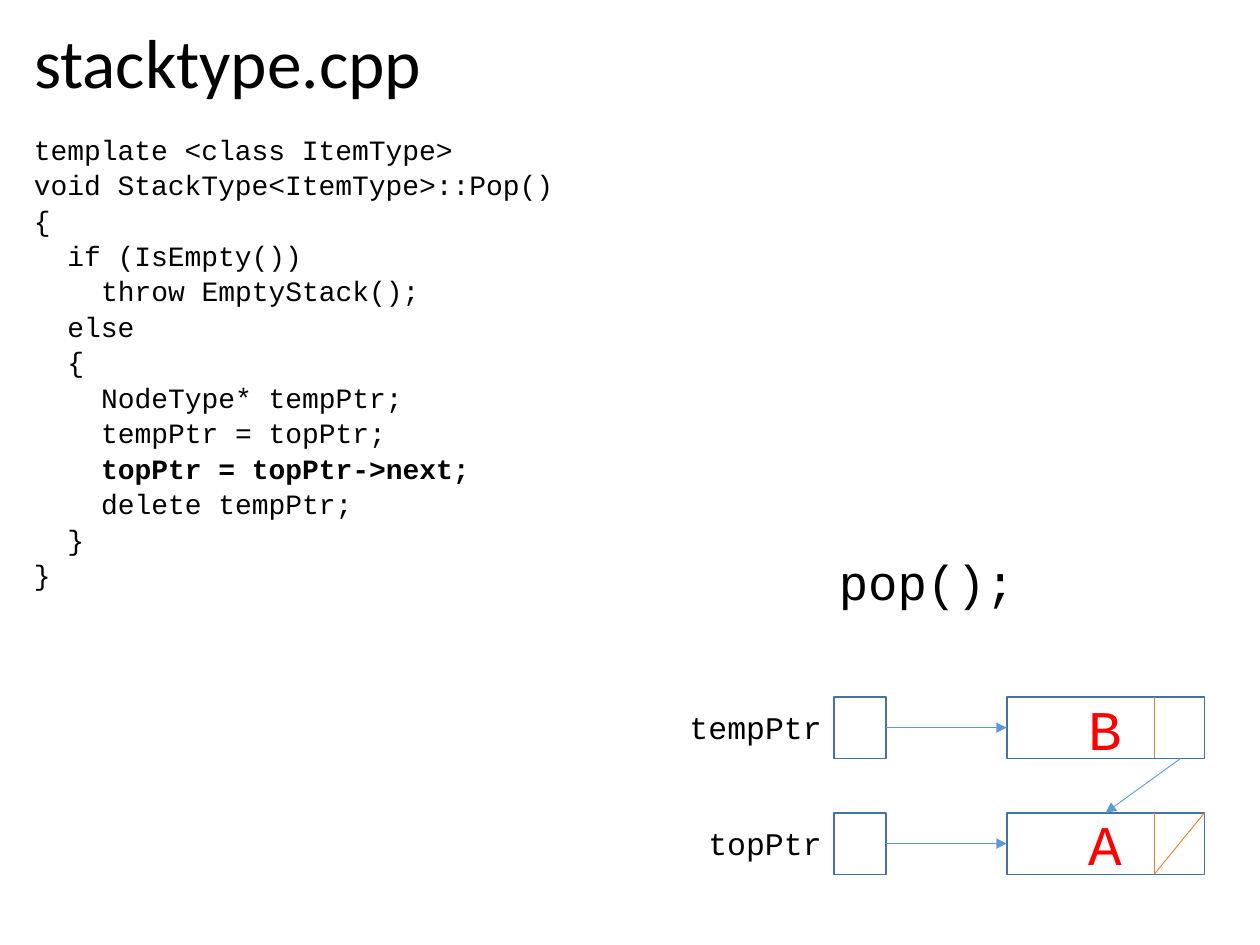
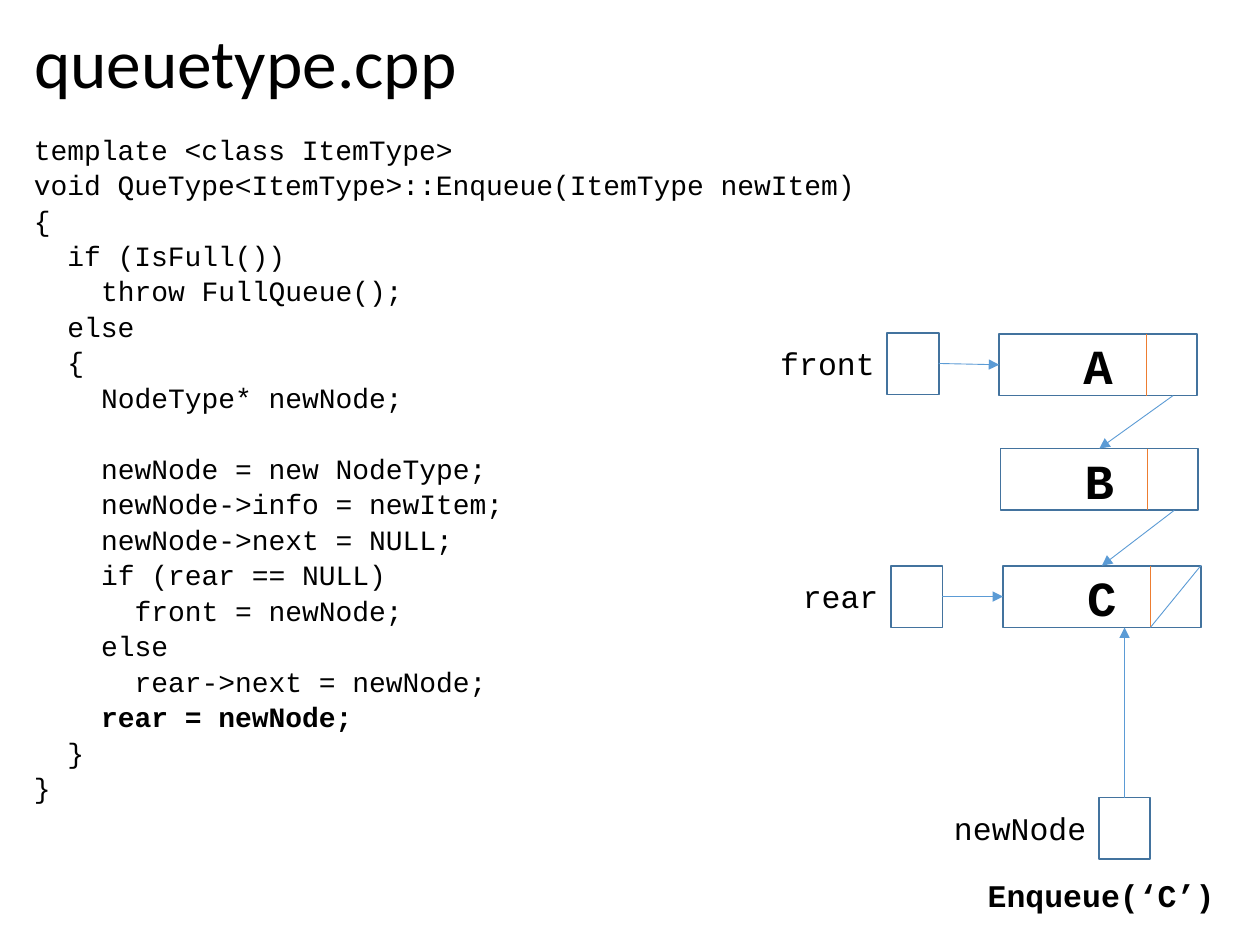
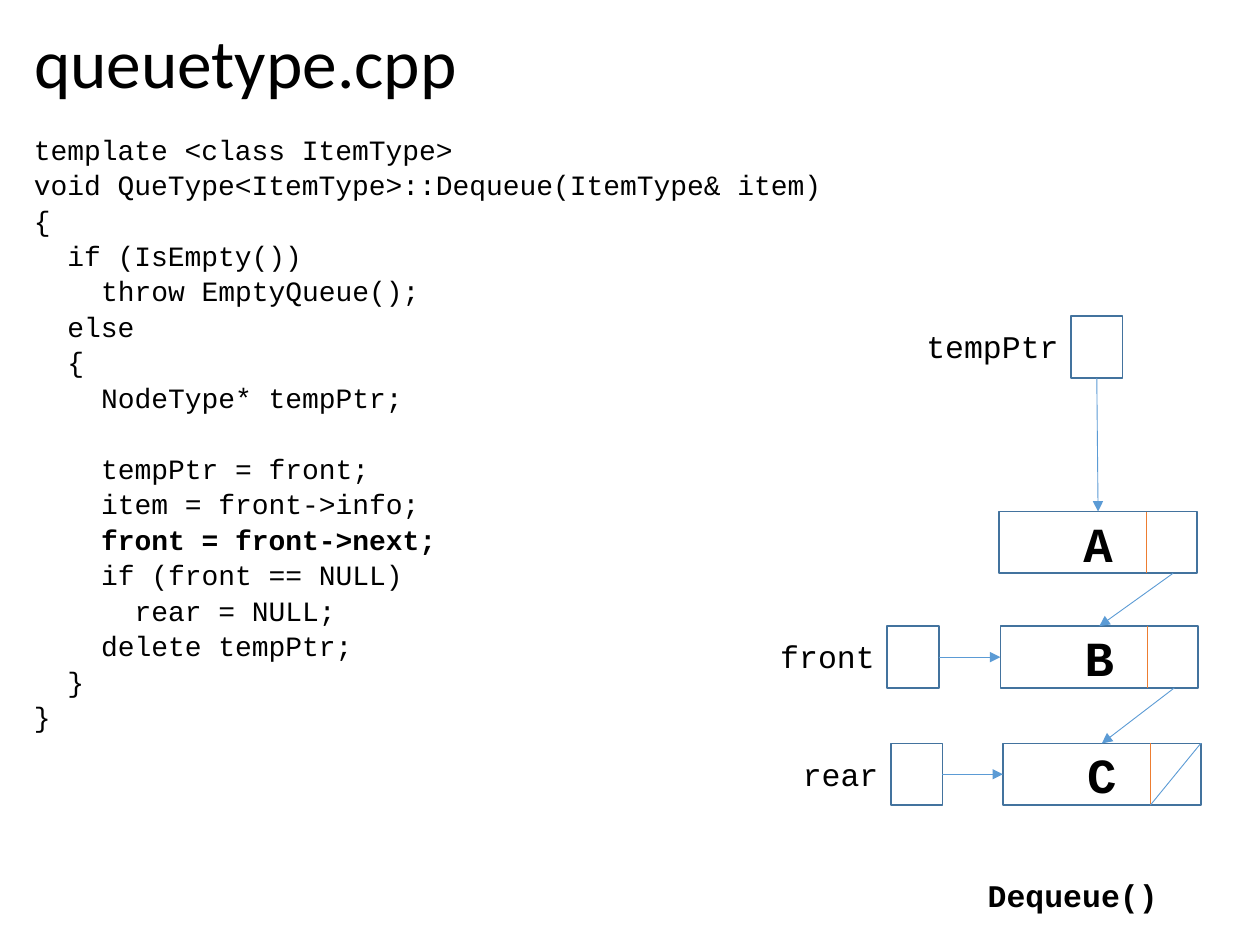
from collections import namedtuple
from itertools import pairwise

from lxml import etree
from pptx import Presentation
from pptx import util as u
from pptx.dml.color import RGBColor
from pptx.enum import shapes, text
from pptx.oxml.ns import qn

# Shared look
BLACK, RED, OUTLINE, BLUE, ORANGE = "000000", "FF0000", "43739E", "5B9BD5", "ED7D31"
MONO = "Courier New"
NODE_WIDTH, POINTER_WIDTH, BOX_HEIGHT = 1.57, 0.41, 0.49
DIVIDER, NEXT_FIELD = 1.17, 1.38      # offsets from a node's left side
CODE_SIZE, CODE_GAP, CODE_LINE = 16, 3, 20.3
CODE_CHARACTER = u.Pt(0.6 * CODE_SIZE)
TOP, LEFT, BOTTOM, RIGHT = range(4)   # connection sites of a rectangle

Node = namedtuple("Node", "letter left top")
Pointer = namedtuple("Pointer", "label left top label_width target start end")
Caption = namedtuple("Caption", "words place size bold")

queue_letter = {"size": 28, "color": BLACK, "bold": True}
queue_caption = (7.74, 6.9, 2.14, 0.4)

slides = [
    {
        "title": "stacktype.cpp",
        "bold": "topPtr = topPtr->next;",
        "caption": Caption("pop();", (6.56, 4.33, 2.59, 0.57), 28, False),
        "letter": {"size": 32, "color": RED, "bold": False},
        "null_slash": ORANGE,
        "nodes": [Node("B", 7.99, 5.53), Node("A", 7.99, 6.45)],
        "pointers": [
            Pointer("tempPtr", 6.62, 5.53, 1.52, "B", RIGHT, LEFT),
            Pointer("topPtr", 6.62, 6.45, 1.36, "A", RIGHT, LEFT),
        ],
        "code": """template <class ItemType>
void StackType<ItemType>::Pop()
{
  if (IsEmpty())
    throw EmptyStack();
  else
  {
    NodeType* tempPtr;
    tempPtr = topPtr;
    topPtr = topPtr->next;
    delete tempPtr;
  }
}""",
    },
    {
        "title": "queuetype.cpp",
        "bold": "rear = newNode;",
        "caption": Caption("Enqueue(‘C’)", queue_caption, 18, True),
        "letter": queue_letter,
        "null_slash": BLUE,
        "nodes": [Node("A", 7.93, 2.65), Node("B", 7.94, 3.56), Node("C", 7.96, 4.49)],
        "pointers": [
            Pointer("front", 7.04, 2.64, 1.52, "A", RIGHT, LEFT),
            Pointer("rear", 7.07, 4.49, 1.36, "C", RIGHT, LEFT),
            Pointer("newNode", 8.72, 6.33, 1.36, "C", TOP, None),
        ],
        "code": """template <class ItemType>
void QueType<ItemType>::Enqueue(ItemType newItem)
{
  if (IsFull())
    throw FullQueue();
  else
  {
    NodeType* newNode;

    newNode = new NodeType;
    newNode->info = newItem;
    newNode->next = NULL;
    if (rear == NULL)
      front = newNode;
    else
      rear->next = newNode;
    rear = newNode;
  }
}""",
    },
    {
        "title": "queuetype.cpp",
        "bold": "front = front->next;",
        "caption": Caption("Dequeue()", queue_caption, 18, True),
        "letter": queue_letter,
        "null_slash": BLUE,
        "nodes": [Node("A", 7.93, 4.06), Node("B", 7.94, 4.97), Node("C", 7.96, 5.9)],
        "pointers": [
            Pointer("front", 7.04, 4.97, 1.52, "B", RIGHT, LEFT),
            Pointer("rear", 7.07, 5.9, 1.36, "C", RIGHT, LEFT),
            Pointer("tempPtr", 8.5, 2.51, 1.36, "A", BOTTOM, TOP),
        ],
        "code": """template <class ItemType>
void QueType<ItemType>::Dequeue(ItemType& item)
{
  if (IsEmpty())
    throw EmptyQueue();
  else
  {
    NodeType* tempPtr;

    tempPtr = front;
    item = front->info;
    front = front->next;
    if (front == NULL)
      rear = NULL;
    delete tempPtr;
  }
}""",
    },
]


def write(paragraph, words, size, color=BLACK, bold=False, font=MONO, **layout):
    run = paragraph.add_run()
    run.text = words
    for name, value in {"name": font, "size": u.Pt(size), "bold": bold}.items():
        setattr(run.font, name, value)
    run.font.color.rgb = RGBColor.from_string(color)
    for name, value in layout.items():
        setattr(paragraph, name, value)


def draw_line(slide, start, end, color, arrow=False):
    line = slide.shapes.add_connector(
        shapes.MSO_CONNECTOR.STRAIGHT, *map(u.Inches, (*start, *end)))
    line.line.width = u.Pt(0.5)
    line.line.color.rgb = RGBColor.from_string(color)
    properties = line._element.spPr
    if arrow:
        etree.SubElement(properties.find(qn("a:ln")), qn("a:tailEnd"), type="triangle")
    etree.SubElement(properties, qn("a:effectLst"))
    return line


prs = Presentation()
prs.slide_width, prs.slide_height = u.Inches(10), u.Inches(7.5)

for content in slides:
    slide = prs.slides.add_slide(prs.slide_layouts[5])
    nodes, pointers = content["nodes"], content["pointers"]

    # Title
    title = slide.shapes.title
    title.left, title.top, title.width, title.height = map(u.Inches, (0.17, 0.18, 9.62, 0.74))
    title_format = {
        "auto_size": text.MSO_AUTO_SIZE.NONE,
        "vertical_anchor": text.MSO_ANCHOR.MIDDLE,
        "margin_bottom": u.Inches(0.1),
    }
    for name, value in title_format.items():
        setattr(title.text_frame, name, value)
    write(title.text_frame.paragraphs[0], content["title"], 39.6, font="Calibri",
          alignment=text.PP_ALIGN.LEFT, line_spacing=0.9)

    # Code listing: nesting is a paragraph indent, a blank line is extra space
    listing = slide.shapes.add_textbox(*map(u.Inches, (0.17, 1.03, 9.62, 5.73))).text_frame
    listing.word_wrap = True
    gap = CODE_GAP
    for number, code_line in enumerate(content["code"].split("\n")):
        statement = code_line.lstrip()
        if not statement:
            gap += CODE_LINE
            continue
        paragraph = listing.add_paragraph() if number else listing.paragraphs[0]
        write(paragraph, statement, CODE_SIZE, bold=statement == content["bold"],
              line_spacing=0.9, space_before=u.Pt(gap))
        depth = len(code_line) - len(statement)
        paragraph._p.get_or_add_pPr().set("marL", str(depth * CODE_CHARACTER))
        gap = CODE_GAP

    # Outlined boxes, found again by node letter or pointer label
    boxes = {}
    outlines = [(node.letter, node.left, node.top, NODE_WIDTH) for node in nodes]
    outlines += [(pointer.label, pointer.left, pointer.top, POINTER_WIDTH)
                 for pointer in pointers]
    for key, left, top, width in outlines:
        box = slide.shapes.add_shape(
            shapes.MSO_SHAPE.RECTANGLE, *map(u.Inches, (left, top, width, BOX_HEIGHT)))
        box.shadow.inherit = False
        box.fill.background()
        box.line.width = u.Pt(1)
        box.line.color.rgb = RGBColor.from_string(OUTLINE)
        boxes[key] = box

    # Node letters, and dividers before the next field
    for node in nodes:
        letter = boxes[node.letter].text_frame
        letter.vertical_anchor = text.MSO_ANCHOR.MIDDLE
        write(letter.paragraphs[0], node.letter, **content["letter"],
              alignment=text.PP_ALIGN.CENTER)
        divider = node.left + DIVIDER
        draw_line(slide, (divider, node.top), (divider, node.top + BOX_HEIGHT), ORANGE)

    # Links from each node's next field to the following node
    for node, following in pairwise(nodes):
        link = draw_line(slide, (node.left + NEXT_FIELD, node.top + BOX_HEIGHT),
                         (following.left + NODE_WIDTH / 2, following.top), BLUE, arrow=True)
        link.end_connect(boxes[following.letter], TOP)

    # Null slash in the last node
    last = nodes[-1]
    draw_line(slide, (last.left + NODE_WIDTH, last.top),
              (last.left + DIVIDER, last.top + BOX_HEIGHT), content["null_slash"])

    # Pointer labels and arrows; an arrow without an end side runs straight up
    node_bottoms = {node.letter: node.top + BOX_HEIGHT for node in nodes}
    for pointer in pointers:
        label_place = (pointer.left - pointer.label_width, pointer.top + 0.04,
                       pointer.label_width, 0.4)
        label = slide.shapes.add_textbox(*map(u.Inches, label_place)).text_frame
        label.word_wrap = True
        write(label.paragraphs[0], pointer.label, 18, alignment=text.PP_ALIGN.RIGHT)

        middle = pointer.left + POINTER_WIDTH / 2
        arrow = draw_line(slide, (middle, pointer.top),
                          (middle, node_bottoms[pointer.target]), BLUE, arrow=True)
        arrow.begin_connect(boxes[pointer.label], pointer.start)
        if pointer.end is not None:
            arrow.end_connect(boxes[pointer.target], pointer.end)

    # Caption naming the operation
    operation = content["caption"]
    caption = slide.shapes.add_textbox(*map(u.Inches, operation.place)).text_frame
    caption.word_wrap = True
    write(caption.paragraphs[0], operation.words, operation.size, bold=operation.bold)

prs.save("out.pptx")
